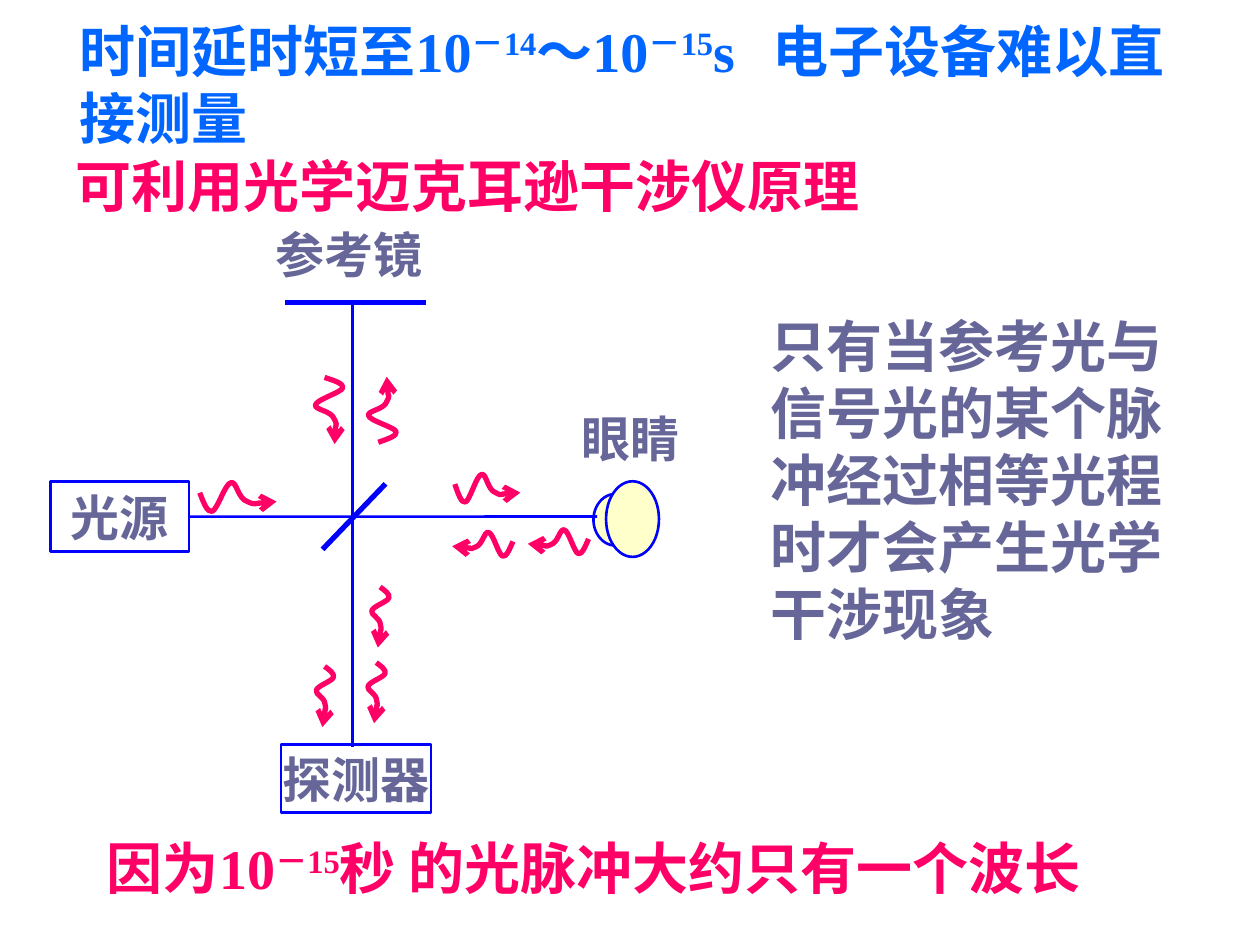
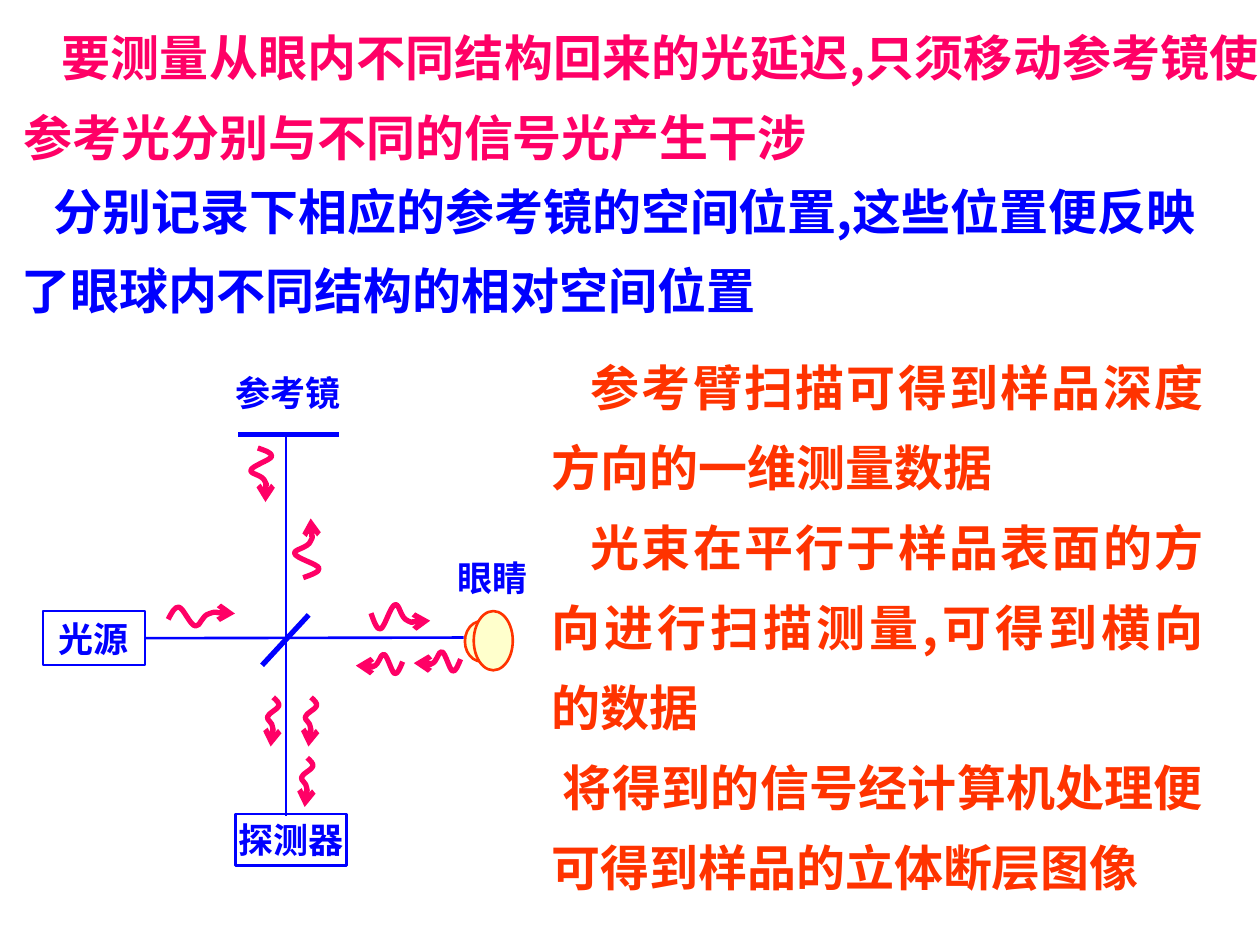
from dataclasses import dataclass
from math import cos, radians, sin

from lxml import etree
from pptx import Presentation
from pptx.dml.color import RGBColor
from pptx.enum.shapes import MSO_CONNECTOR, MSO_SHAPE
from pptx.enum.text import MSO_ANCHOR, PP_ALIGN
from pptx.oxml.ns import qn
from pptx.util import Inches, Pt

STRAIGHT = MSO_CONNECTOR.STRAIGHT
RECTANGLE, OVAL = MSO_SHAPE.RECTANGLE, MSO_SHAPE.OVAL
LEFT, CENTER, JUSTIFY = PP_ALIGN.LEFT, PP_ALIGN.CENTER, PP_ALIGN.JUSTIFY
MIDDLE = MSO_ANCHOR.MIDDLE
RIGHT_SIDE = 3


@dataclass(frozen=True)
class Theme:
    chinese: str = "Noto Sans CJK SC"
    numerals: str = "Times New Roman"
    blue: RGBColor = RGBColor(0x00, 0x00, 0xFF)
    sky: RGBColor = RGBColor(0x00, 0x66, 0xFF)
    pink: RGBColor = RGBColor(0xFF, 0x00, 0x66)
    slate: RGBColor = RGBColor(0x66, 0x66, 0x99)
    orange: RGBColor = RGBColor(0xFF, 0x33, 0x00)
    cream: RGBColor = RGBColor(0xFF, 0xFF, 0xCC)
    large: int = 32
    medium: int = 28
    small: int = 20
    thin: float = 1.5
    thick: float = 3


theme = Theme()

# One light pulse in a unit square: a start, then three points for each Bezier curve
PULSE = [(0, 0.35), (0.05, 0.65), (0.1, 0.96), (0.16, 0.92),
         (0.23, 0.88), (0.33, 0.06), (0.41, 0.04),
         (0.48, 0), (0.5, 0.54), (0.62, 0.62),
         (0.72, 0.73), (0.95, 0.62), (1, 0.62)]


def add_text(shape, text, color, size, latin=theme.chinese, align=LEFT,
             line_spacing=None, indents=(0,), tab=None, wrap=True):
    """Fill a shape with text; each part between a pair of ^ is superscript."""
    frame = shape.text_frame
    frame.word_wrap = wrap
    for index, line in enumerate(text.split("\n")):
        paragraph = frame.paragraphs[0] if index == 0 else frame.add_paragraph()
        paragraph.alignment = align
        if line_spacing:
            paragraph.line_spacing = line_spacing
        properties = paragraph._p.get_or_add_pPr()
        properties.set("marL", "0")
        properties.set("indent", str(Inches(indents[index])))
        if tab:
            tabs = etree.SubElement(properties, qn("a:tabLst"))
            etree.SubElement(tabs, qn("a:tab"), pos=str(Inches(tab)), algn="l")
        for part_index, part in enumerate(line.split("^")):
            run = paragraph.add_run()
            run.text = part
            run.font.size = Pt(size)
            run.font.bold = True
            run.font.color.rgb = color
            run.font.name = latin
            run_properties = run._r.get_or_add_rPr()
            etree.SubElement(run_properties, qn("a:ea"), typeface=theme.chinese)
            if part_index % 2:
                run_properties.set("baseline", "30000")


def add_pulse(slide, center_x, center_y, length, height, angle, flipped):
    """Draw a wavy arrow around its centre, turned clockwise by angle."""
    turn = radians(angle)
    points = []
    for along, across in PULSE:
        x = (along - 0.5) * length
        y = (across - 0.5) * height * (-1 if flipped else 1)
        points.append((Inches(center_x + x * cos(turn) - y * sin(turn)),
                       Inches(center_y + x * sin(turn) + y * cos(turn))))
    builder = slide.shapes.build_freeform(*points[0])
    builder.add_line_segments(points[1:], close=False)
    shape = builder.convert_to_shape()
    segments = list(shape._element.iter(qn("a:lnTo")))
    for first in range(0, len(segments), 3):
        curve = etree.Element(qn("a:cubicBezTo"))
        segments[first].addprevious(curve)
        for segment in segments[first:first + 3]:
            curve.append(segment[0])
            segment.getparent().remove(segment)
    shape.shadow.inherit = False
    shape.fill.background()
    shape.line.color.rgb = theme.pink
    shape.line.width = Pt(theme.thick)
    etree.SubElement(shape.line._get_or_add_ln(), qn("a:tailEnd"), type="arrow")


pages = [
    dict(
        texts=[
            ((0.53, 0.08, 9.08, 1.17),
             dict(text="时间延时短至10^－14^～10^－15^s\t电子设备难以直接测量", color=theme.sky,
                  size=theme.large, latin=theme.numerals, tab=6.31)),
            ((0.5, 1.15, 7.68, 0.64),
             dict(text="可利用光学迈克耳逊干涉仪原理", color=theme.pink, size=theme.large)),
            ((6.02, 2.42, 3.64, 2.77),
             dict(text="只有当参考光与信号光的某个脉冲经过相等光程时才会产生光学干涉现象",
                  color=theme.slate, size=theme.large)),
            ((0.75, 6.57, 8.49, 0.64),
             dict(text="因为10^－15^秒 的光脉冲大约只有一个波长", color=theme.pink,
                  size=theme.large, latin=theme.numerals)),
        ],
        label_color=theme.slate, label_size=theme.medium, eye_line=theme.blue,
        source=(0.4, 3.82, 1.1, 0.56), detector=(2.23, 5.91, 1.19, 0.54),
        mirror_label=(2.09, 1.73, 1.62, 0.57), eye_label=(4.52, 3.19, 1.06, 0.57),
        eye=[(4.71, 3.92, 0.35, 0.41), (4.81, 3.82, 0.42, 0.6)],
        mirror=(2.26, 2.4, 3.38, 2.4), splitter=(3.06, 3.84, 2.56, 4.36),
        sample_beam=(1.5, 4.1, 4.74, 4.1), reference_beam=(2.8, 2.4, 2.8, 5.93),
        pulses=[
            ((0.61, 0.26, 0, False), [(1.89, 3.95)]),
            ((0.52, 0.25, 0, False), [(3.87, 3.88)]),
            ((0.52, 0.25, 270, False), [(3.04, 3.25)]),
            ((0.53, 0.25, 88.7, True), [(2.62, 3.26)]),
            ((0.48, 0.21, 182.2, True), [(3.83, 4.32), (4.43, 4.3)]),
            ((0.48, 0.14, 96.6, True), [(2.57, 5.53), (3.01, 4.9), (2.98, 5.5)]),
        ],
    ),
    dict(
        texts=[
            ((0.09, 0, 10, 1.37),
             dict(text="要测量从眼内不同结构回来的光延迟,只须移动参考镜使参考光分别与不同的信号光产生干涉",
                  color=theme.pink, size=theme.medium, align=JUSTIFY,
                  line_spacing=1.36, indents=(0.3,))),
            ((4.28, 2.62, 5.37, 4.55),
             dict(text="参考臂扫描可得到样品深度方向的一维测量数据\n"
                       "光束在平行于样品表面的方向进行扫描测量,可得到横向的数据\n"
                       "将得到的信号经计算机处理便可得到样品的立体断层图像",
                  color=theme.orange, size=theme.medium, align=JUSTIFY,
                  line_spacing=1.36, indents=(0.31, 0.31, 0.09))),
            ((0.07, 1.22, 9.71, 1.37),
             dict(text="分别记录下相应的参考镜的空间位置,这些位置便反映了眼球内不同结构的相对空间位置",
                  color=theme.blue, size=theme.medium, line_spacing=1.36, indents=(0.26,))),
        ],
        label_color=theme.blue, label_size=theme.small, eye_line=theme.orange,
        source=(0.34, 4.85, 0.81, 0.43), detector=(1.87, 6.46, 0.88, 0.41),
        mirror_label=(1.77, 2.9, 1.2, 0.44), eye_label=(3.53, 4.37, 0.78, 0.44),
        eye=[(3.69, 4.93, 0.26, 0.32), (3.76, 4.85, 0.31, 0.47)],
        mirror=(1.89, 3.45, 2.69, 3.45), splitter=(2.45, 4.88, 2.08, 5.28),
        sample_beam=(1.15, 5.06, 3.68, 5.06), reference_beam=(2.27, 3.47, 2.27, 6.48),
        pulses=[
            ((0.47, 0.22, 0, False), [(3.18, 4.9)]),
            ((0.47, 0.22, 270, False), [(2.44, 4.35)]),
            ((0.53, 0.17, 0, True), [(1.6, 4.89)]),
            ((0.43, 0.19, 88.7, True), [(2.08, 3.77)]),
            ((0.37, 0.17, 182.2, True), [(3.01, 5.27), (3.47, 5.25)]),
            ((0.39, 0.09, 96.6, True), [(2.16, 5.73), (2.46, 5.73), (2.43, 6.21)]),
        ],
    ),
]

presentation = Presentation()
presentation.slide_width = Inches(10)
presentation.slide_height = Inches(7.5)
blank_layout = presentation.slide_layouts[6]

for page in pages:
    slide = presentation.slides.add_slide(blank_layout)
    label_format = dict(color=page["label_color"], size=page["label_size"])

    for place, text_format in page["texts"]:
        add_text(slide.shapes.add_textbox(*map(Inches, place)), **text_format)
    for text, part in (("参考镜", "mirror_label"), ("眼睛", "eye_label")):
        add_text(slide.shapes.add_textbox(*map(Inches, page[part])), text, **label_format)

    boxes = {}
    for text, part in (("光源", "source"), ("探测器", "detector")):
        box = slide.shapes.add_shape(RECTANGLE, *map(Inches, page[part]))
        box.shadow.inherit = False
        box.fill.background()
        box.line.color.rgb = theme.blue
        box.line.width = Pt(theme.thin)
        box.text_frame.vertical_anchor = MIDDLE
        add_text(box, text, align=CENTER, wrap=False, **label_format)
        boxes[part] = box

    for place in page["eye"]:
        oval = slide.shapes.add_shape(OVAL, *map(Inches, place))
        oval.shadow.inherit = False
        oval.fill.solid()
        oval.fill.fore_color.rgb = theme.cream
        oval.line.color.rgb = page["eye_line"]
        oval.line.width = Pt(theme.thin)

    for part, width in (("mirror", theme.thick), ("splitter", theme.thick),
                        ("sample_beam", theme.thin), ("reference_beam", theme.thin)):
        line = slide.shapes.add_connector(STRAIGHT, *map(Inches, page[part]))
        line.line.color.rgb = theme.blue
        line.line.width = Pt(width)
        etree.SubElement(line._element.spPr, qn("a:effectLst"))
        if part == "sample_beam":
            line.begin_connect(boxes["source"], RIGHT_SIDE)

    for (length, height, angle, flipped), centers in page["pulses"]:
        for center_x, center_y in centers:
            add_pulse(slide, center_x, center_y, length, height, angle, flipped)

presentation.save("out.pptx")
